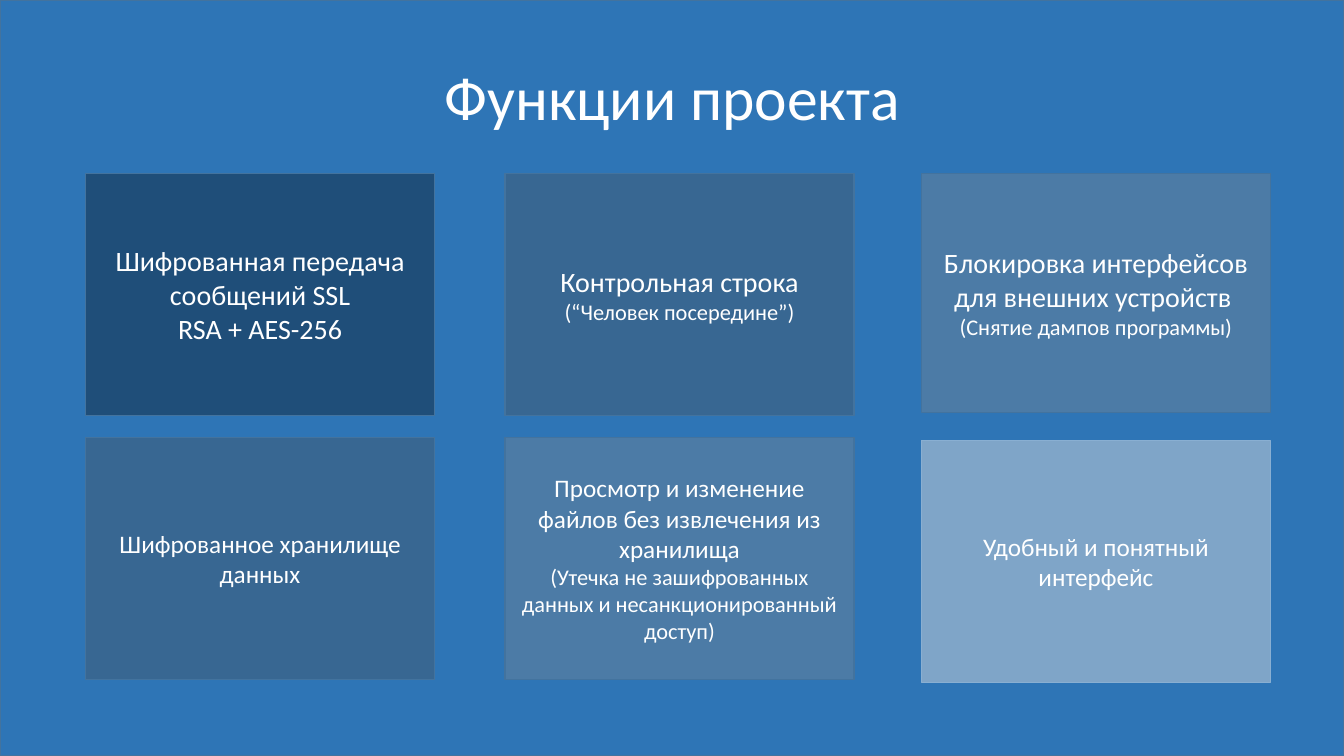
from pptx import Presentation
from pptx.dml.color import RGBColor
from pptx.enum import shapes, text
from pptx.util import Inches, Pt

TITLE = "Функции проекта"
FONT = "Calibri"
COLORS = {
    "background": "2E75B6",
    "white": "FFFFFF",
    "navy": "1F4E79",
    "steel": "386792",
    "slate": "4C7BA6",
    "sky": "7FA5C8",
    "edge": "43739E",
    "light edge": "89AFD2",
}

COLUMN_LEFTS = (0.85, 5.01, 9.14)
ROW_TOPS = (1.72, 4.34)
CARD_WIDTH, CARD_HEIGHT = 3.46, 2.4
NUDGE = 0.03  # the right column is slightly shorter above and lower below

# Fill, edge, paragraphs as (wording, size)
CARDS = [
    ("navy", "edge", [("Шифрованная передача сообщений SSL", 20),
                      ("RSA + AES-256", 20)]),
    ("steel", "edge", [("Контрольная строка", 20),
                       ("(“Человек посередине”)", 16)]),
    ("slate", "edge", [("Блокировка интерфейсов для внешних устройств ", 20),
                       ("(Снятие дампов программы)", 16)]),
    ("steel", "edge", [("Шифрованное хранилище данных", 18)]),
    ("slate", "edge", [("Просмотр и изменение файлов без извлечения из хранилища", 18),
                       ("(Утечка не зашифрованных данных и несанкционированный доступ)", 16)]),
    ("sky", "light edge", [("Удобный и понятный интерфейс", 18)]),
]


def color(name):
    return RGBColor.from_string(COLORS[name])


def add_box(slide, left, top, width, height, fill, edge):
    shape = slide.shapes.add_shape(
        shapes.MSO_SHAPE.RECTANGLE,
        Inches(left), Inches(top), Inches(width), Inches(height))
    shape.shadow.inherit = False
    shape.fill.solid()
    shape.fill.fore_color.rgb = color(fill)
    shape.line.color.rgb = color(edge)
    shape.line.width = Pt(1)
    return shape


def write(shape, paragraphs):
    frame = shape.text_frame
    frame.text = "\n".join(wording for wording, size in paragraphs)
    frame.word_wrap = True
    frame.vertical_anchor = text.MSO_ANCHOR.MIDDLE
    for paragraph, (wording, size) in zip(frame.paragraphs, paragraphs):
        paragraph.alignment = text.PP_ALIGN.CENTER
        for run in paragraph.runs:
            run.font.name = FONT
            run.font.size = Pt(size)
            run.font.color.rgb = color("white")


def main():
    presentation = Presentation()
    presentation.slide_width = Inches(13.33)
    presentation.slide_height = Inches(7.5)
    slide = presentation.slides.add_slide(presentation.slide_layouts[5])

    # Background panel
    background = add_box(slide, 0, 0, 13.33, 7.5, "background", "edge")

    # Title, in front of the panel
    title = slide.shapes.title
    background.element.addnext(title.element)
    title.left, title.top = Inches(0.92), Inches(0.27)
    title.width, title.height = Inches(11.5), Inches(1.45)
    write(title, [(TITLE, 44)])
    title.text_frame.paragraphs[0].line_spacing = 0.9

    # Feature cards
    for index, (fill, edge, paragraphs) in enumerate(CARDS):
        row, column = divmod(index, len(COLUMN_LEFTS))
        top, height = ROW_TOPS[row], CARD_HEIGHT
        if column == 2 and row == 0:
            height -= NUDGE
        elif column == 2:
            top += NUDGE
        card = add_box(slide, COLUMN_LEFTS[column], top, CARD_WIDTH, height, fill, edge)
        write(card, paragraphs)

    presentation.save("out.pptx")


if __name__ == "__main__":
    main()
